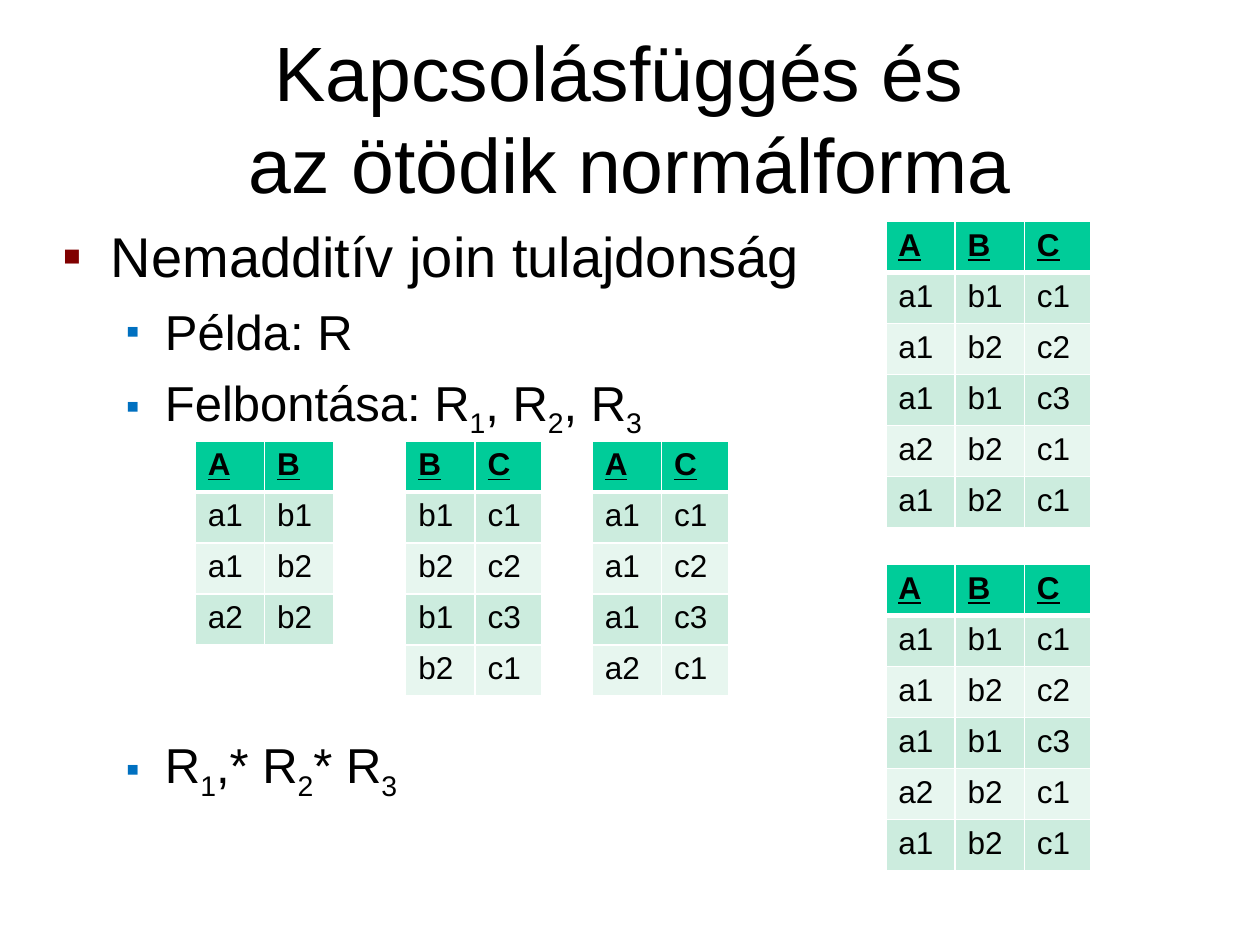
from lxml.etree import SubElement
from pptx import Presentation
from pptx.dml.color import RGBColor as Rgb
from pptx.enum.text import MSO_ANCHOR as Anchor, PP_ALIGN as Align
from pptx.oxml.ns import qn
from pptx.util import Inches, Pt

COLORS = {
    "text": "000000", "border": "FFFFFF", "header": "00CC99",
    "odd": "CCECDE", "even": "E7F6EF",
    "bullet": "800000", "sub_bullet": "0070C0",
}
LEVELS = [
    {"size": 32, "left": 0.38, "hang": 0.38, "before": 8,
     "color": "bullet", "percent": 100},
    {"size": 28, "left": 0.81, "hang": 0.31, "before": 7,
     "color": "sub_bullet", "percent": 80},
]
COLUMN_WIDTHS = {"A": 0.55, "B": 0.55, "C": 0.53}
ROW_HEIGHT = Inches(0.81) // 2
TABLE_GAP = 169  # points kept free for the tables between two paragraphs

BODY = [
    (0, ["Nemadditív join tulajdonság"], None),
    (1, ["Példa: R"], None),
    (1, ["Felbontása: R", "1", ", R", "2", ", R", "3"], None),
    (1, ["R", "1", ",* R", "2", "* R", "3"], TABLE_GAP),
]
RELATION = ["A B C", "a1 b1 c1", "a1 b2 c2", "a1 b1 c3", "a2 b2 c1", "a1 b2 c1"]
TABLES = [
    (7.03, 1.76, RELATION),
    (1.55, 3.5, ["A B", "a1 b1", "a1 b2", "a2 b2"]),
    (3.22, 3.5, ["B C", "b1 c1", "b2 c2", "b1 c3", "b2 c1"]),
    (7.03, 4.48, RELATION),
    (4.7, 3.5, ["A C", "a1 c1", "a1 c2", "a1 c3", "a2 c1"]),
]


def add_color(parent, name):
    SubElement(parent, qn("a:srgbClr"), val=COLORS[name])


class SlideBuilder:
    font = "Arial"

    def __init__(self, slide):
        self.slide = slide

    def style(self, span, size, **formats):
        values = {"name": self.font, "size": Pt(size), **formats}
        for name, value in values.items():
            setattr(span.font, name, value)
        span.font.color.rgb = Rgb.from_string(COLORS["text"])

    def frame(self, left, top, width, height, anchor):
        box = self.slide.shapes.add_textbox(*map(Inches, (left, top, width, height)))
        frame = box.text_frame
        values = {"word_wrap": True, "vertical_anchor": anchor, "margin_left": 0,
                  "margin_top": 0, "margin_right": 0, "margin_bottom": 0}
        for name, value in values.items():
            setattr(frame, name, value)
        return frame

    def title(self, lines):
        para = self.frame(0.5, 0.3, 9, 1.25, Anchor.MIDDLE).paragraphs[0]
        para.alignment = Align.CENTER
        for index, line in enumerate(lines):
            if index:
                para.add_line_break()
            span = para.add_run()
            span.text = line
            self.style(span, 44)

    def body(self, items):
        frame = self.frame(0.5, 1.76, 9, 4.95, Anchor.TOP)
        for index, (level, parts, before) in enumerate(items):
            para = frame.add_paragraph() if index else frame.paragraphs[0]
            look = LEVELS[level]
            para.level = level
            para.space_before = Pt(before or look["before"])
            self.bullet(para, look)
            for position, part in enumerate(parts):
                span = para.add_run()
                span.text = part
                self.style(span, look["size"])
                if position % 2:  # every second part is a subscript
                    span.font._element.set("baseline", "-25000")

    def bullet(self, para, look):
        props = para._p.get_or_add_pPr()
        props.set("marL", str(Inches(look["left"])))
        props.set("indent", str(-Inches(look["hang"])))
        add_color(SubElement(props, qn("a:buClr")), look["color"])
        SubElement(props, qn("a:buSzPct"), val=str(look["percent"] * 1000))
        SubElement(props, qn("a:buFont"), typeface=self.font)
        SubElement(props, qn("a:buChar"), char="▪")

    def table(self, left, top, lines):
        rows = [line.split() for line in lines]
        widths = [Inches(COLUMN_WIDTHS[name]) for name in rows[0]]
        table = self.slide.shapes.add_table(
            len(rows), len(widths), Inches(left), Inches(top),
            sum(widths), ROW_HEIGHT * len(rows)).table
        for column, width in zip(table.columns, widths):
            column.width = width
        for row_index, row in enumerate(rows):
            table.rows[row_index].height = ROW_HEIGHT
            for column_index, text in enumerate(row):
                self.cell(table.cell(row_index, column_index), text, row_index)

    def cell(self, cell, text, row_index):
        is_header = row_index == 0
        span = cell.text_frame.paragraphs[0].add_run()
        span.text = text
        self.style(span, 18, bold=is_header, underline=is_header)
        widths = {"lnL": 1, "lnR": 1, "lnT": 3 if row_index == 1 else 1,
                  "lnB": 3 if is_header else 1}
        for side, width in widths.items():
            line = SubElement(cell._tc.get_or_add_tcPr(), qn(f"a:{side}"),
                              w=str(Pt(width)))
            add_color(SubElement(line, qn("a:solidFill")), "border")
        band = "header" if is_header else "odd" if row_index % 2 else "even"
        cell.fill.solid()
        cell.fill.fore_color.rgb = Rgb.from_string(COLORS[band])


def main():
    deck = Presentation()
    deck.slide_width, deck.slide_height = Inches(10), Inches(7.5)
    page = SlideBuilder(deck.slides.add_slide(deck.slide_layouts[6]))
    page.title(["Kapcsolásfüggés és ", "az ötödik normálforma"])
    page.body(BODY)
    for left, top, lines in TABLES:
        page.table(left, top, lines)
    deck.save("out.pptx")


if __name__ == "__main__":
    main()
